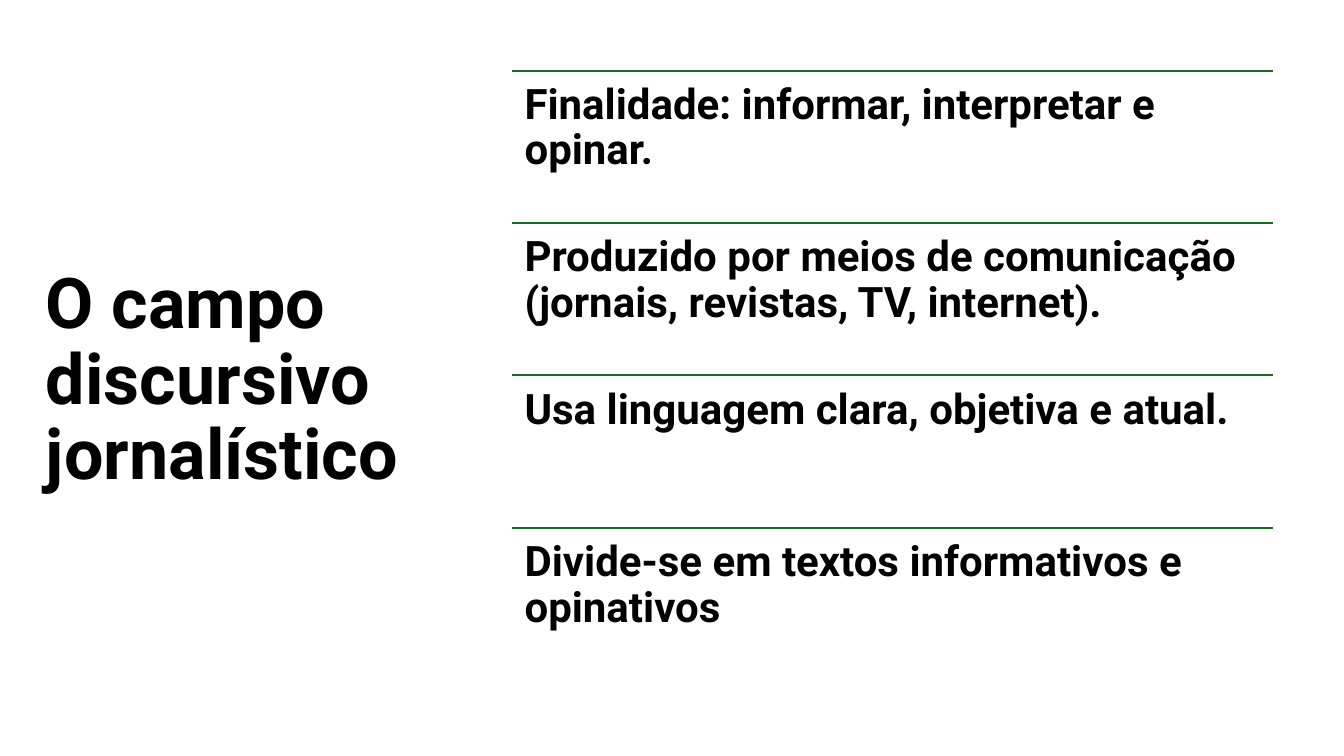
from lxml import etree
from pptx import Presentation
from pptx.dml.color import RGBColor
from pptx.enum.shapes import MSO_CONNECTOR
from pptx.enum.text import MSO_ANCHOR
from pptx.oxml.ns import qn
from pptx.util import Cm, Pt

STRAIGHT = MSO_CONNECTOR.STRAIGHT
TOP, MIDDLE = MSO_ANCHOR.TOP, MSO_ANCHOR.MIDDLE
FONT = "Roboto"
COLORS = {"text": "000000", "rule": "196B24"}

TITLE = "O campo discursivo jornalístico"
POINTS = [
    "Finalidade: informar, interpretar e opinar.",
    "Produzido por meios de comunicação (jornais, revistas, TV, internet).",
    "Usa linguagem clara, objetiva e atual.",
    "Divide-se em textos informativos e opinativos",
]
LEFT, FIRST, WIDTH, PITCH = 12.9, 1.78, 19.18, 3.84


def add_text(slide, text, left, top, width, height, size, inset, anchor):
    box = slide.shapes.add_textbox(Cm(left), Cm(top), Cm(width), Cm(height))
    frame = box.text_frame
    frame.word_wrap = True
    frame.vertical_anchor = anchor
    frame.margin_left = frame.margin_right = Cm(inset)
    frame.margin_top = frame.margin_bottom = Cm(inset)
    frame.text = text
    para = frame.paragraphs[0]
    para.line_spacing = 0.9
    font = para.runs[0].font
    font.name = FONT
    font.size = Pt(size)
    font.bold = True
    font.color.rgb = RGBColor.from_string(COLORS["text"])


def add_rule(slide, left, top, width):
    rule = slide.shapes.add_connector(
        STRAIGHT, Cm(left), Cm(top), Cm(left + width), Cm(top))
    rule.line.color.rgb = RGBColor.from_string(COLORS["rule"])
    rule.line.width = Pt(1.5)
    etree.SubElement(rule._element.spPr, qn("a:effectLst"))


def add_point(slide, text, top):
    """Add one statement under its green rule."""
    add_rule(slide, LEFT, top, WIDTH)
    add_text(slide, text, LEFT, top, WIDTH, PITCH, 30, 0.32, TOP)


def main():
    deck = Presentation()
    deck.slide_width, deck.slide_height = Cm(33.87), Cm(19.05)
    slide = deck.slides.add_slide(deck.slide_layouts[6])
    add_text(slide, TITLE, 0.91, 2.01, 10.36, 15.21, 50, 0.25, MIDDLE)
    for row, text in enumerate(POINTS):
        add_point(slide, text, FIRST + row * PITCH)
    deck.save("out.pptx")


if __name__ == "__main__":
    main()
